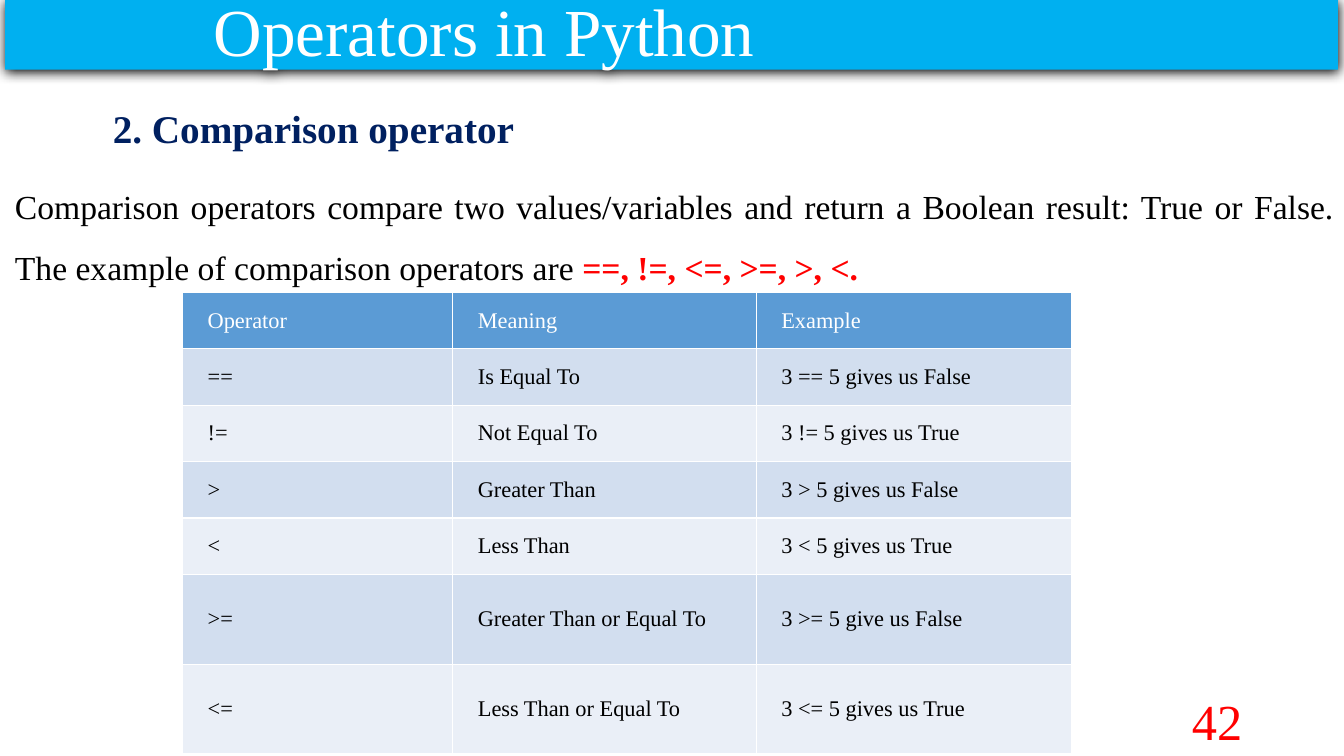
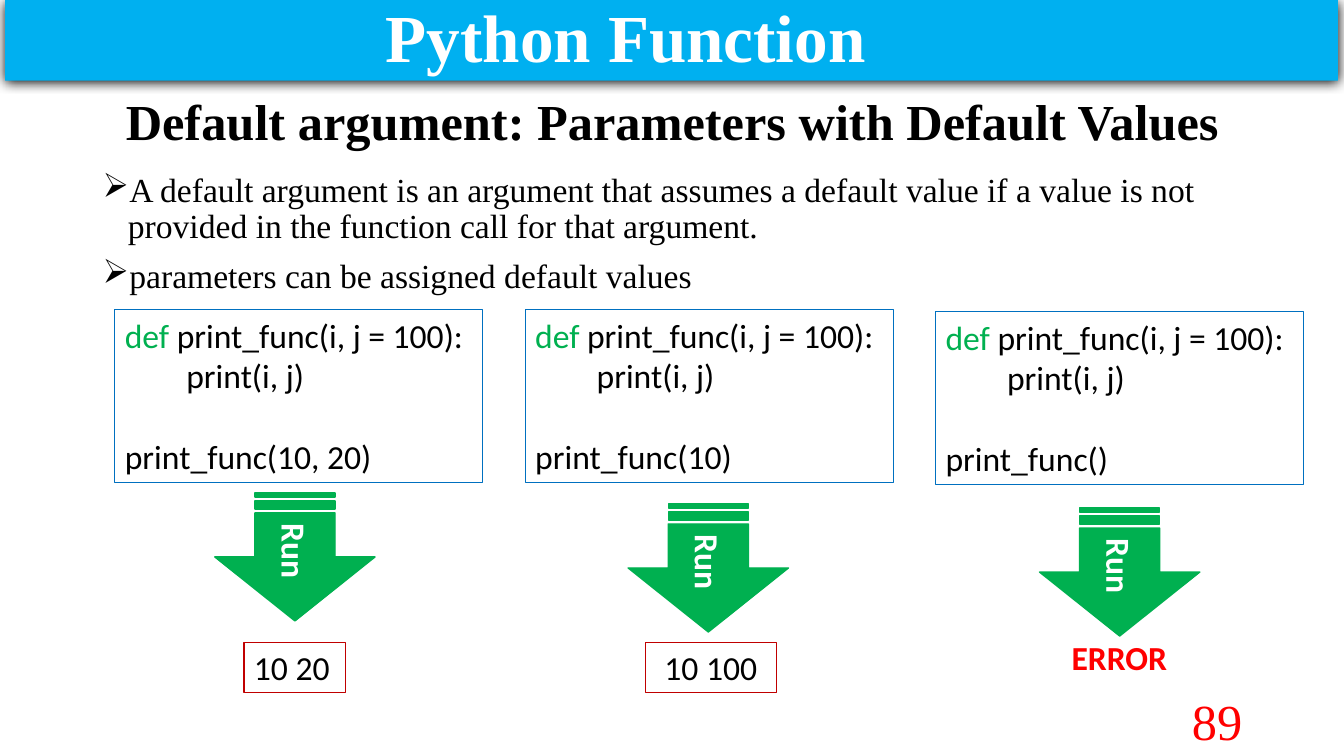
from lxml import etree
from pptx import Presentation
from pptx import util as u
from pptx.dml.color import RGBColor
from pptx.enum import shapes, text
from pptx.oxml.ns import qn

SERIF, SANS = "Times New Roman", "Calibri"
WHITE, BLACK, RED = "FFFFFF", "000000", "FF0000"
SKY, NAVY, GREEN = "00B0F0", "002060", "00B050"
CODE_EDGE, RESULT_EDGE = "0070C0", "C00000"
HEADER, STRIPES = "5B9BD5", ("D2DEEF", "EAEFF7")
LEFT, CENTER = text.PP_ALIGN.LEFT, text.PP_ALIGN.CENTER
RIGHT, JUSTIFY = text.PP_ALIGN.RIGHT, text.PP_ALIGN.JUSTIFY
TOP, MIDDLE = text.MSO_ANCHOR.TOP, text.MSO_ANCHOR.MIDDLE


def rgb(value):
    """Turn a hex string into a colour."""
    return RGBColor.from_string(value)


class Lesson:
    """Holds the lesson style and the slide being built."""

    def __init__(self):
        """Start an empty widescreen deck."""
        self.deck = Presentation()
        self.deck.slide_width = u.Inches(13.33)
        self.deck.slide_height = u.Inches(7.5)
        self.page = None

    def start(self, title, number, height, indent, bold=False):
        """Open a page with its title band and page number."""
        self.page = self.deck.slides.add_slide(self.deck.slide_layouts[6])
        band = self.shape((0.05, 0, 13.22, height), fill=SKY)
        effects = band._element.spPr.find(qn("a:effectLst"))
        shadow = etree.SubElement(
            effects, qn("a:outerShdw"), blurRad=str(u.Pt(8.5)),
            dist=str(u.Pt(1)), dir="5400000", algn="t", rotWithShape="0")
        etree.SubElement(shadow, qn("a:srgbClr"), val=BLACK)
        self.paragraph(band.text_frame, [(title, WHITE, bold)], 48,
                       margin=indent, spacing=0.9)
        self.label((9.42, 6.95, 3, 0.4), [(number, RED, False)], 36, align=RIGHT)

    def paragraph(self, frame, spans, size, font=SERIF, align=LEFT, margin=0,
                  hanging=0, spacing=None, before=0, bullet=None):
        """Add a paragraph made of (words, colour, bold) runs."""
        para = frame.paragraphs[0]
        if para.runs:
            para = frame.add_paragraph()
        para.alignment = align
        para.line_spacing = spacing
        para.space_before = u.Pt(before)
        props = para._p.get_or_add_pPr()
        props.set("marL", str(u.Inches(margin)))
        props.set("indent", str(u.Inches(-hanging)))
        if bullet:
            etree.SubElement(props, qn("a:buChar"), char=bullet)
        for words, color, bold in spans:
            span = para.add_run()
            span.text = words
            span.font.name = font
            span.font.size = u.Pt(size)
            span.font.bold = bold
            span.font.color.rgb = rgb(color)

    def box(self, place, anchor=TOP, wrap=True):
        """Add an empty text box and return its frame."""
        frame = self.page.shapes.add_textbox(*map(u.Inches, place)).text_frame
        frame.word_wrap = wrap
        frame.vertical_anchor = anchor
        return frame

    def label(self, place, spans, size, anchor=MIDDLE, wrap=True, **style):
        """Add a text box with one paragraph."""
        self.paragraph(self.box(place, anchor, wrap), spans, size, **style)

    def shape(self, place, kind=shapes.MSO_SHAPE.RECTANGLE, fill=None,
              line=None, weight=0.75, anchor=MIDDLE):
        """Add a flat preset shape."""
        shape = self.page.shapes.add_shape(kind, *map(u.Inches, place))
        if fill:
            shape.fill.solid()
            shape.fill.fore_color.rgb = rgb(fill)
        else:
            shape.fill.background()
        if line:
            shape.line.color.rgb = rgb(line)
            shape.line.width = u.Pt(weight)
        else:
            shape.line.fill.background()
        shape.shadow.inherit = False
        shape.text_frame.word_wrap = True
        shape.text_frame.vertical_anchor = anchor
        return shape

    def code(self, place, call):
        """Add a code box that ends with the given call."""
        frame = self.shape(place, line=CODE_EDGE, anchor=TOP).text_frame
        self.paragraph(frame, [("def ", GREEN, False),
                               ("print_func(i, j = 100):", BLACK, False)], 24, SANS)
        self.paragraph(frame, [("print(i, j)", BLACK, False)], 24, SANS, margin=0.61)
        self.paragraph(frame, [(call, BLACK, False)], 24, SANS, before=29)

    def run_arrow(self, left, top):
        """Add a striped arrow that points down."""
        arrow = self.shape((left, top, 1.27, 1.59),
                           shapes.MSO_SHAPE.STRIPED_RIGHT_ARROW, GREEN, GREEN, 1)
        arrow.rotation = 90
        self.paragraph(arrow.text_frame, [("Run", WHITE, True)], 24, SANS, CENTER)

    def result(self, left, width, words, align):
        """Add a framed program output."""
        frame = self.shape((left, 6.37, width, 0.5), line=RESULT_EDGE,
                           anchor=TOP).text_frame
        self.paragraph(frame, [(words, BLACK, False)], 24, SANS, align)

    def table(self, place, rows, widths, heights):
        """Add a striped table with a header row."""
        table = self.page.shapes.add_table(
            len(rows), len(widths), *map(u.Inches, place)).table
        for column, width in zip(table.columns, widths):
            column.width = u.Inches(width)
        for index, (row, height) in enumerate(zip(rows, heights)):
            table.rows[index].height = u.Inches(height)
            fill = STRIPES[(index - 1) % 2] if index else HEADER
            for cell, words in zip(table.rows[index].cells, row):
                cell.fill.solid()
                cell.fill.fore_color.rgb = rgb(fill)
                cell.vertical_anchor = MIDDLE
                cell.margin_left = cell.margin_right = u.Inches(0.25)
                cell.margin_top = cell.margin_bottom = u.Inches(0.12)
                color = BLACK if index else WHITE
                self.paragraph(cell.text_frame, [(words, color, False)], 16)


def comparison_page(lesson):
    """Build the page on comparison operators."""
    lesson.start("Operators in Python", "42", 0.69, 1.97)
    frame = lesson.box((0.05, 0.99, 13.28, 1.9))
    lesson.paragraph(frame, [("2. Comparison operator", NAVY, True)], 28,
                     margin=0.97, before=10)
    lesson.paragraph(frame, [
        ("Comparison operators compare two values/variables and return a "
         "Boolean result: True or False. The example of comparison "
         "operators are ", BLACK, False),
        ("==, !=, <=, >=, >, <.", RED, True)],
        24, align=JUSTIFY, spacing=1.5, before=10)
    rows = [
        ("Operator", "Meaning", "Example"),
        ("==", "Is Equal To", "3 == 5 gives us False"),
        ("!=", "Not Equal To", "3 != 5 gives us True"),
        (">", "Greater Than", "3 > 5 gives us False"),
        ("<", "Less Than", "3 < 5 gives us True"),
        (">=", "Greater Than or Equal To", "3 >= 5 give us False"),
        ("<=", "Less Than or Equal To", "3 <= 5 gives us True"),
    ]
    lesson.table((1.81, 2.9, 8.82, 4.58), rows, (2.68, 3.01, 3.13),
                 [0.56] * 5 + [0.89] * 2)


def default_argument_page(lesson):
    """Build the page on default arguments."""
    lesson.start("Python Function", "89", 0.8, 3.68, bold=True)
    lesson.label((0.92, 0.4, 11.5, 1.67),
                 [("Default argument: Parameters with Default Values", BLACK, True)],
                 36, align=CENTER, spacing=0.9)
    frame = lesson.box((0.92, 1.67, 11.5, 1.4))
    for words in (
            "A default argument is an argument that assumes a default value if "
            "a value is not provided in the function call for that argument.",
            "parameters can be assigned default values"):
        lesson.paragraph(frame, [(words, BLACK, False)], 24, margin=0.25,
                         hanging=0.25, spacing=0.9, before=10, bullet="➢")
    examples = [
        ("print_func(10, 20)", 3.07, 2.29, 4.73),
        ("print_func(10)", 3.07, 6.39, 4.84),
        ("print_func()", 3.09, 10.47, 4.88),
    ]
    for index, (call, code_top, arrow_left, arrow_top) in enumerate(examples):
        lesson.code((1.14 + 4.07 * index, code_top, 3.65, 1.72), call)
        lesson.run_arrow(arrow_left, arrow_top)
    lesson.result(2.42, 1.01, "10 20", LEFT)
    lesson.result(6.4, 1.3, "10 100", CENTER)
    lesson.label((10.53, 6.27, 1.16, 0.5), [("ERROR", RED, True)], 24,
                 anchor=TOP, wrap=False, font=SANS)


def main():
    """Build and save the deck."""
    lesson = Lesson()
    comparison_page(lesson)
    default_argument_page(lesson)
    lesson.deck.save("out.pptx")


if __name__ == "__main__":
    main()
